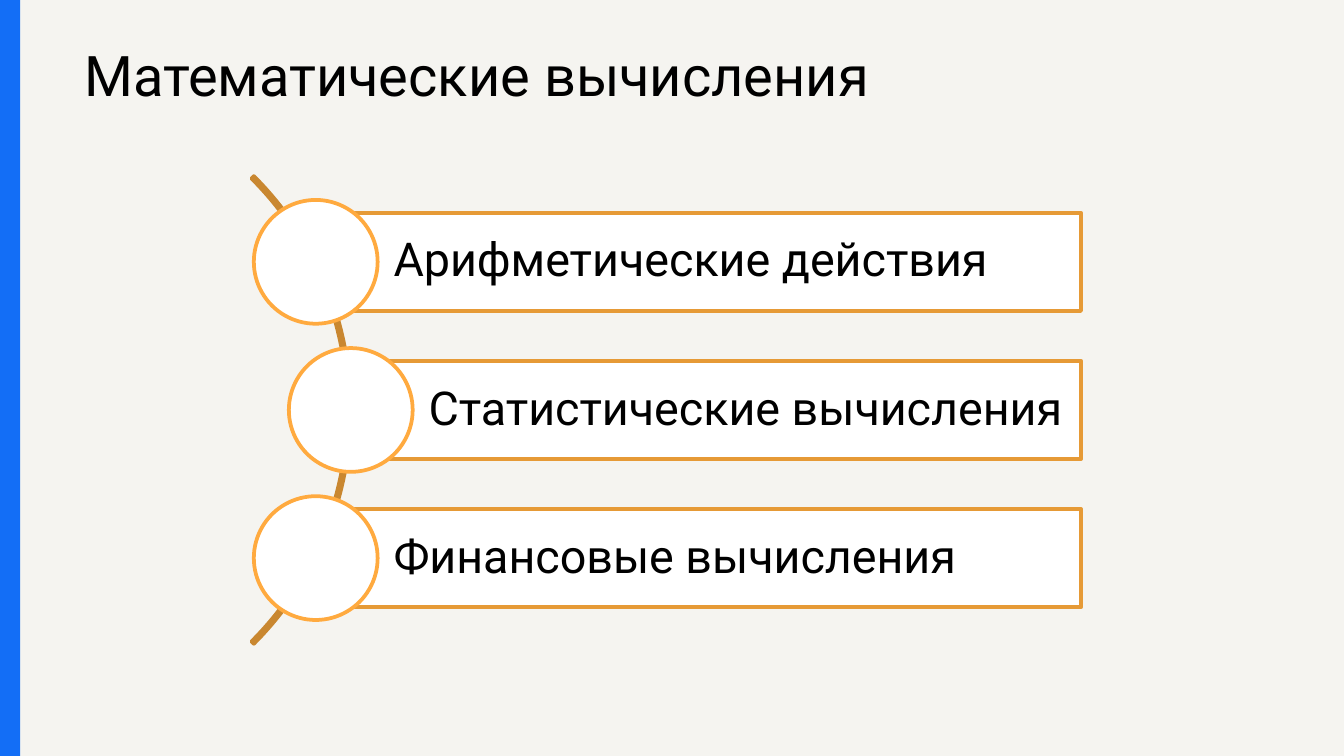
from collections import namedtuple
from dataclasses import dataclass
from math import sqrt

from pptx import Presentation
from pptx.dml.color import RGBColor
from pptx.enum.shapes import MSO_SHAPE
from pptx.enum.text import MSO_ANCHOR, PP_ALIGN
from pptx.util import Cm, Pt

Box = namedtuple("Box", "x y w h")


@dataclass(frozen=True)
class Theme:
    paper: str = "F5F4F0"
    blue: str = "136EF6"
    white: str = "FFFFFF"
    ink: str = "000000"
    arc: str = "C98730"
    bar: str = "E69A36"
    ring: str = "FFAA3F"
    font: str = "Roboto"
    title: float = 30
    label: float = 25
    line: float = 2


theme = Theme()


def color(code):
    return RGBColor.from_string(code)


def place(box):
    return [Cm(side) for side in box]


def draw(slide, kind, box, fill=None, line=None):
    shape = slide.shapes.add_shape(kind, *place(box))
    shape.shadow.inherit = False
    if fill:
        shape.fill.solid()
        shape.fill.fore_color.rgb = color(fill)
    else:
        shape.fill.background()
    if line:
        shape.line.color.rgb = color(line)
        shape.line.width = Pt(theme.line)
    else:
        shape.line.fill.background()
    return shape


def write(shape, text, size, pad, anchor=MSO_ANCHOR.TOP, space=1.0):
    frame = shape.text_frame
    frame.word_wrap = True
    frame.vertical_anchor = anchor
    (frame.margin_left, frame.margin_top,
     frame.margin_right, frame.margin_bottom) = place(pad)
    part = frame.paragraphs[0]
    part.alignment = PP_ALIGN.LEFT
    part.line_spacing = space
    run = part.add_run()
    run.text = text
    run.font.name = theme.font
    run.font.size = Pt(size)
    run.font.color.rgb = color(theme.ink)


def add_title(slide, box, text):
    shape = slide.shapes.add_textbox(*place(box))
    write(shape, text, theme.title, (0.25, 0.25, 0.25, 0.25))


def add_stripe(slide, box):
    draw(slide, MSO_SHAPE.RECTANGLE, box, fill=theme.blue)


def add_row(slide, box, text):
    dot = 2.34
    bar = draw(slide, MSO_SHAPE.RECTANGLE, box, theme.white, theme.bar)
    write(bar, text, theme.label, (1.47, 0.18, 0.18, 0.18),
          MSO_ANCHOR.MIDDLE, 0.9)
    ring = Box(box.x - dot / 2, box.y + (box.h - dot) / 2, dot, dot)
    draw(slide, MSO_SHAPE.OVAL, ring, theme.white, theme.ring)


def add_list(slide, box, labels):
    radius, step, high = 6.25, 2.8, 1.86
    mid = box.y + box.h / 2
    curve = Box(box.x - radius, mid - radius, 2 * radius, 2 * radius)
    arc = draw(slide, MSO_SHAPE.BLOCK_ARC, curve, line=theme.arc)
    for index, value in enumerate((189, 27, 0.005)):
        arc.adjustments[index] = value
    for index, label in enumerate(labels):
        drop = (index - (len(labels) - 1) / 2) * step
        reach = sqrt(radius ** 2 - drop ** 2)
        row = Box(box.x + reach, mid + drop - high / 2, box.w - reach, high)
        add_row(slide, row, label)


def main():
    deck = Presentation()
    deck.slide_width, deck.slide_height = Cm(25.4), Cm(14.29)
    slide = deck.slides.add_slide(deck.slide_layouts[6])
    slide.background.fill.solid()
    slide.background.fill.fore_color.rgb = color(theme.paper)
    add_title(slide, Box(1.35, 0.51, 19.2, 2.59), "Математические вычисления")
    add_stripe(slide, Box(0, -0.03, 0.38, 14.35))
    add_list(slide, Box(0.38, 3.3, 20.05, 8.9), (
        "Арифметические действия",
        "Статистические вычисления",
        "Финансовые вычисления",
    ))
    deck.save("out.pptx")


if __name__ == "__main__":
    main()
